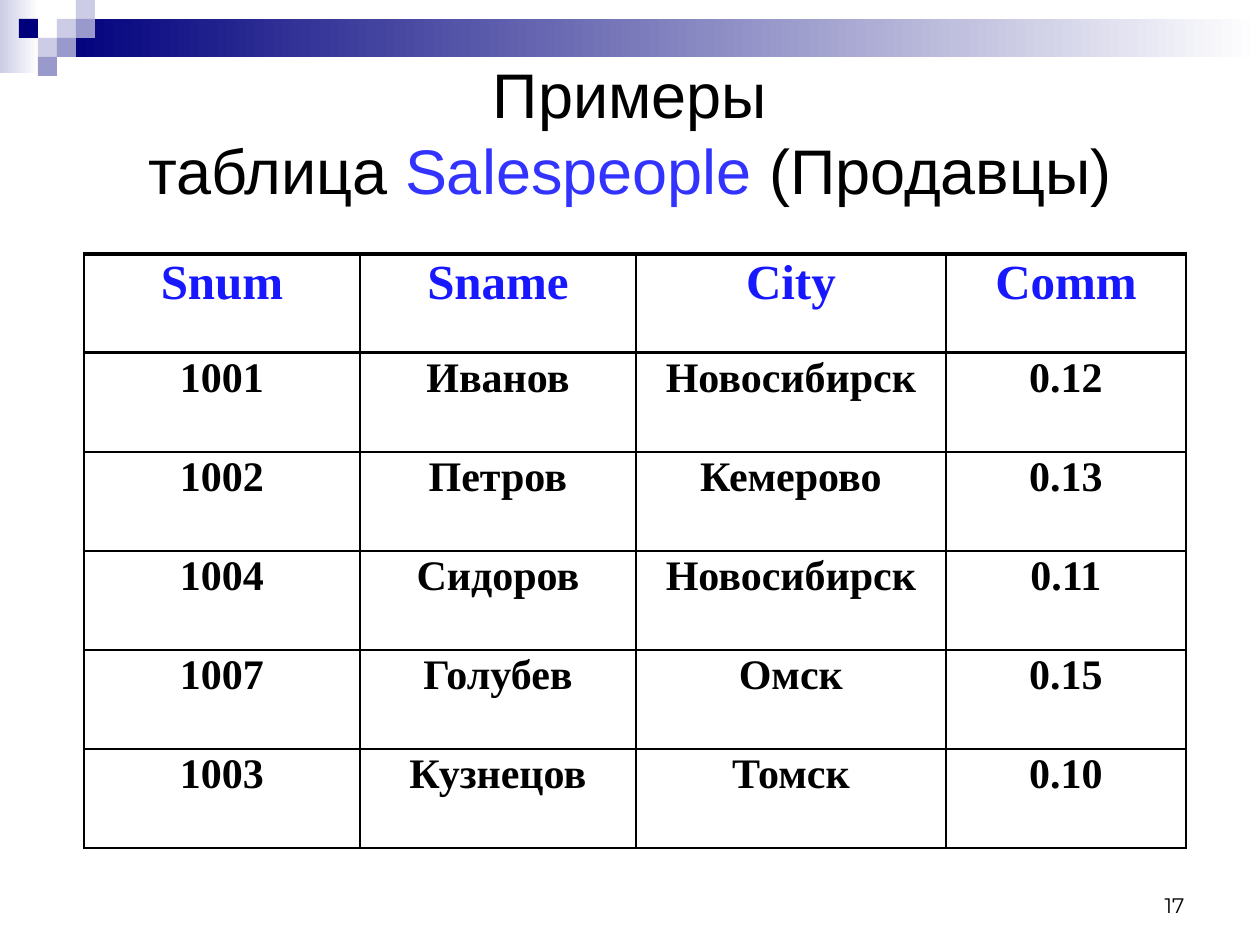
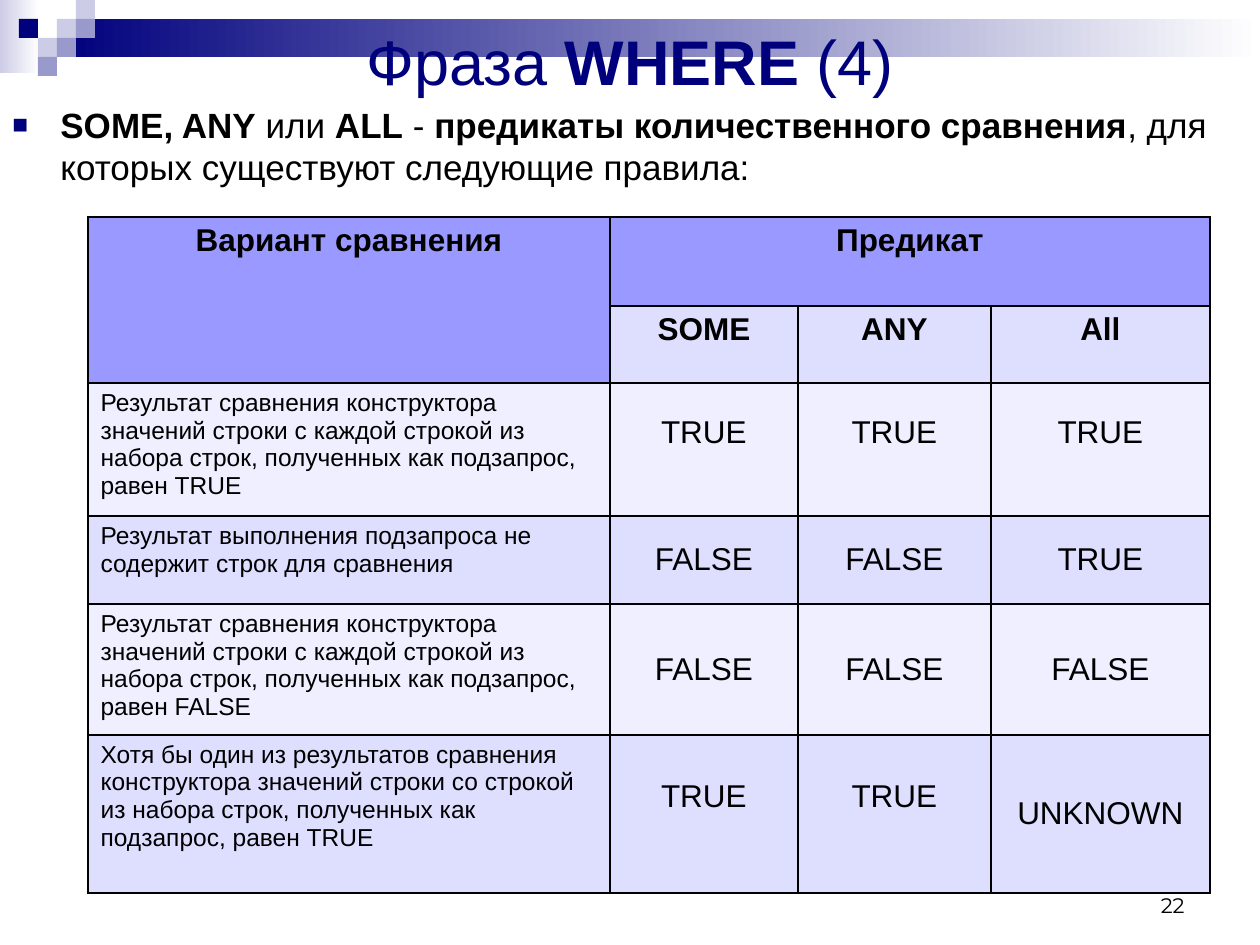
from itertools import product

from lxml.etree import SubElement
from pptx import Presentation
from pptx.dml.color import RGBColor
from pptx.enum.shapes import MSO_SHAPE
from pptx.enum.text import MSO_ANCHOR, PP_ALIGN
from pptx.oxml.ns import qn
from pptx.util import Pt

EMU_PER_PX = 914400 / 126
SLIDE_BOX = (0, 0, 1260, 945)
SQUARE = 19
COLORS = {
    "black": "000000", "white": "FFFFFF", "navy": "00007D",
    "lavender": "CCCCE6", "violet": "9999CC", "title_blue": "3333FF",
    "header_blue": "1818FF", "header_fill": "9999FF",
    "dark_band": "DEDEFF", "light_band": "EFEFFF",
}
SQUARES = [(3, 1, "lavender"), (4, 0, "lavender"), (4, 1, "violet"),
           (2, 2, "lavender"), (1, 1, "navy"), (3, 2, "violet"), (2, 3, "violet")]

SALES_COLUMNS = [276, 276, 310, 240]
SALES_ROWS = [
    ["Snum", "Sname", "City", "Comm"],
    ["1001", "Иванов", "Новосибирск", "0.12"],
    ["1002", "Петров", "Кемерово", "0.13"],
    ["1004", "Сидоров", "Новосибирск", "0.11"],
    ["1007", "Голубев", "Омск", "0.15"],
    ["1003", "Кузнецов", "Томск", "0.10"],
]

PREDICATE_COLUMNS = [522, 188, 193, 219]
PREDICATE_HEIGHTS = [89, 77, 133, 88, 131, 158]
PREDICATES = ["SOME", "ANY", "All"]
COMPARISON = ("Результат сравнения конструктора значений строки с каждой строкой "
              "из набора строк, полученных как подзапрос, равен ")
RULES = [
    (COMPARISON + "TRUE", ["TRUE", "TRUE", "TRUE"]),
    ("Результат выполнения подзапроса не содержит строк для сравнения",
     ["FALSE", "FALSE", "TRUE"]),
    (COMPARISON + "FALSE", ["FALSE", "FALSE", "FALSE"]),
    ("Хотя бы один из результатов сравнения конструктора значений строки со строкой "
     "из набора строк, полученных как подзапрос, равен TRUE",
     ["TRUE", "TRUE", "UNKNOWN"]),
]
RAISED_ANSWERS = {(0, 0), (0, 1), (0, 2), (3, 0), (3, 1)}


def px(length):
    return round(length * EMU_PER_PX)


def rgb(color):
    return RGBColor.from_string(COLORS[color])


def format_run(run, size, color="black", bold=False, font_name="Arial"):
    run.font.name = font_name
    run.font.size = Pt(size)
    run.font.bold = bold
    run.font.color.rgb = rgb(color)


def add_runs(paragraph, parts, size):
    for text, color, bold in parts:
        run = paragraph.add_run()
        run.text = text
        format_run(run, size, color, bold)


def add_text_box(slide, box, anchor, alignment):
    shape = slide.shapes.add_textbox(*map(px, box))
    text_frame = shape.text_frame
    text_frame.word_wrap = True
    text_frame.vertical_anchor = anchor
    paragraph = text_frame.paragraphs[0]
    paragraph.alignment = alignment
    return paragraph


def add_rectangle(slide, box, colors):
    shape = slide.shapes.add_shape(MSO_SHAPE.RECTANGLE, *map(px, box))
    shape.shadow.inherit = False
    shape.line.fill.background()
    if len(colors) == 1:
        shape.fill.solid()
        shape.fill.fore_color.rgb = rgb(colors[0])
        return
    shape.fill.gradient()
    shape.fill.gradient_angle = 0
    for stop, color in zip(shape.fill.gradient_stops, colors):
        stop.color.rgb = rgb(color)


def add_header_band(slide, box):
    left, top, width, height = box
    add_rectangle(slide, (left, top, 39, 73), ["lavender", "white"])
    band_left = 3 * SQUARE
    add_rectangle(slide, (left + band_left, top + SQUARE, width - band_left, 2 * SQUARE),
                  ["navy", "white"])
    for column, row, color in SQUARES:
        add_rectangle(slide, (left + column * SQUARE, top + row * SQUARE, SQUARE, SQUARE),
                      [color])


def add_title(slide, box, lines):
    paragraph = add_text_box(slide, box, MSO_ANCHOR.MIDDLE, PP_ALIGN.CENTER)
    for index, parts in enumerate(lines):
        if index:
            paragraph.add_line_break()
        add_runs(paragraph, parts, 36)


def add_page_number(slide, box, number):
    paragraph = add_text_box(slide, box, MSO_ANCHOR.BOTTOM, PP_ALIGN.RIGHT)
    paragraph.text = number
    format_run(paragraph.runs[0], 12, font_name="Montserrat")


def add_bullet(slide, box, parts):
    paragraph = add_text_box(slide, box, MSO_ANCHOR.TOP, PP_ALIGN.LEFT)
    properties = paragraph._p.get_or_add_pPr()
    properties.set("marL", str(px(48)))
    properties.set("indent", str(-px(48)))
    color = SubElement(properties, qn("a:buClr"))
    SubElement(color, qn("a:srgbClr"), val=COLORS["navy"])
    SubElement(properties, qn("a:buSzPct"), val="75000")
    SubElement(properties, qn("a:buFont"), typeface="Arial")
    SubElement(properties, qn("a:buChar"), char="■")
    add_runs(paragraph, parts, 20)


def set_borders(cell, top=1, bottom=1):
    properties = cell._tc.get_or_add_tcPr()
    for side, width in (("L", 1), ("R", 1), ("T", top), ("B", bottom)):
        line = SubElement(properties, qn(f"a:ln{side}"), w=str(Pt(width)))
        fill = SubElement(line, qn("a:solidFill"))
        SubElement(fill, qn("a:srgbClr"), val=COLORS["black"])


def fill_cell(cell, color=None):
    if color:
        cell.fill.solid()
        cell.fill.fore_color.rgb = rgb(color)
    else:
        cell.fill.background()


def write_cell(cell, text, size, alignment=PP_ALIGN.CENTER, **style):
    cell.text_frame.text = text
    paragraph = cell.text_frame.paragraphs[0]
    paragraph.alignment = alignment
    format_run(paragraph.runs[0], size, **style)
    return paragraph


def add_plain_table(slide, left, top, widths, heights):
    box = (left, top, sum(widths), sum(heights))
    table = slide.shapes.add_table(len(heights), len(widths), *map(px, box)).table
    table.first_row = False
    table.horz_banding = False
    for column, width in zip(table.columns, widths):
        column.width = px(width)
    for row, height in zip(table.rows, heights):
        row.height = px(height)
    return table


def add_sales_table(slide, left, top):
    heights = [99] * len(SALES_ROWS)
    table = add_plain_table(slide, left, top, SALES_COLUMNS, heights)
    for row, column in product(range(len(heights)), range(len(SALES_COLUMNS))):
        cell = table.cell(row, column)
        is_header = row == 0
        paragraph = write_cell(cell, SALES_ROWS[row][column], 28 if is_header else 24,
                               color="header_blue" if is_header else "black",
                               bold=True, font_name="Times New Roman")
        paragraph.line_spacing = 0.9
        set_borders(cell, top=2 if row < 2 else 1, bottom=2 if is_header else 1)
        fill_cell(cell)


def add_predicate_table(slide, left, top):
    table = add_plain_table(slide, left, top, PREDICATE_COLUMNS, PREDICATE_HEIGHTS)
    for row, column in product(range(len(PREDICATE_HEIGHTS)), range(len(PREDICATE_COLUMNS))):
        cell = table.cell(row, column)
        set_borders(cell)
        if row == 0 or (row == 1 and column == 0):
            fill_cell(cell, "header_fill")
        else:
            fill_cell(cell, "dark_band" if row % 2 else "light_band")
    table.cell(0, 0).merge(table.cell(1, 0))
    table.cell(0, 1).merge(table.cell(0, 3))
    write_cell(table.cell(0, 0), "Вариант сравнения", 18, bold=True)
    write_cell(table.cell(0, 1), "Предикат", 18, bold=True)
    for column, predicate in enumerate(PREDICATES, 1):
        write_cell(table.cell(1, column), predicate, 18, bold=True)
    for rule, (condition, answers) in enumerate(RULES):
        write_cell(table.cell(rule + 2, 0), condition, 14, PP_ALIGN.LEFT)
        for position, answer in enumerate(answers):
            cell = table.cell(rule + 2, position + 1)
            write_cell(cell, answer, 18)
            cell.vertical_anchor = MSO_ANCHOR.MIDDLE
            if (rule, position) in RAISED_ANSWERS:
                cell.margin_bottom = px(41)


def add_base_slide(presentation, title_box, title_lines, page_number):
    slide = presentation.slides.add_slide(presentation.slide_layouts[6])
    add_header_band(slide, SLIDE_BOX)
    add_title(slide, title_box, title_lines)
    add_page_number(slide, (903, 861, 294, 63), page_number)
    return slide


def add_salespeople_slide(presentation):
    slide = add_base_slide(presentation, (63, 65, 1134, 132), [
        [("Примеры", "black", False)],
        [("таблица ", "black", False), ("Salespeople ", "title_blue", False),
         ("(Продавцы)", "black", False)],
    ], "17")
    add_sales_table(slide, 84, 254)


def add_where_slide(presentation):
    slide = add_base_slide(presentation, (63, 31, 1134, 59), [
        [("Фраза ", "navy", False), ("WHERE ", "navy", True), ("(4)", "navy", False)],
    ], "22")
    add_bullet(slide, (0, 97, 1245, 100), [
        ("SOME, ANY", "black", True), (" или ", "black", False), ("ALL", "black", True),
        (" - ", "black", False), ("предикаты количественного сравнения", "black", True),
        (", для которых существуют следующие правила:", "black", False),
    ])
    add_predicate_table(slide, 88, 217)


def main():
    presentation = Presentation()
    presentation.slide_width = px(SLIDE_BOX[2])
    presentation.slide_height = px(SLIDE_BOX[3])
    add_salespeople_slide(presentation)
    add_where_slide(presentation)
    presentation.save("out.pptx")


if __name__ == "__main__":
    main()
